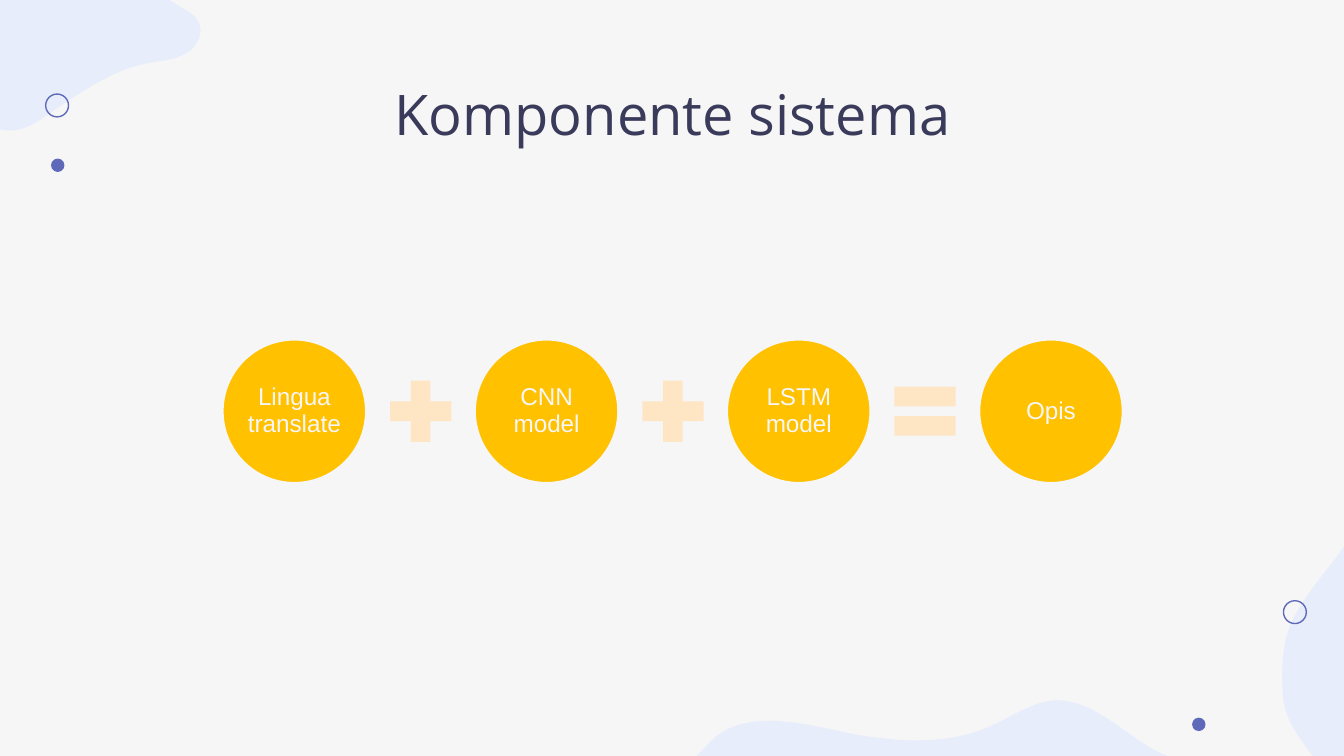
import pptx
import pptx.util
import pptx.dml.color
import pptx.enum.shapes
import pptx.enum.text

Inches = pptx.util.Inches
Pt = pptx.util.Pt
RGBColor = pptx.dml.color.RGBColor
MSO_SHAPE = pptx.enum.shapes.MSO_SHAPE
PP_ALIGN = pptx.enum.text.PP_ALIGN
MSO_ANCHOR = pptx.enum.text.MSO_ANCHOR

BACKGROUND = RGBColor(0xF6, 0xF6, 0xF6)
BLOB = RGBColor(0xE7, 0xED, 0xFB)
INDIGO = RGBColor(0x5E, 0x69, 0xB9)
NAVY = RGBColor(0x3A, 0x3A, 0x5A)
AMBER = RGBColor(0xFF, 0xC1, 0x00)
PEACH = RGBColor(0xFE, 0xE5, 0xC4)
CURVE_STEPS = 12


def add_preset(preset, left, top, size, fill=None, line=None, line_width=0.75):
    shape = slide.shapes.add_shape(
        preset, Inches(left), Inches(top), Inches(size), Inches(size))
    shape.shadow.inherit = False
    if fill is None:
        shape.fill.background()
    else:
        shape.fill.solid()
        shape.fill.fore_color.rgb = fill
    if line is None:
        shape.line.fill.background()
    else:
        shape.line.color.rgb = line
        shape.line.width = Pt(line_width)
    return shape


def format_text(text_frame, font_name, size, color):
    paragraph = text_frame.paragraphs[0]
    paragraph.alignment = PP_ALIGN.CENTER
    for run in paragraph.runs:
        run.font.name = font_name
        run.font.size = Pt(size)
        run.font.color.rgb = color
    return paragraph


presentation = pptx.Presentation()
presentation.slide_width = Inches(10)
presentation.slide_height = Inches(10) * 9 // 16
slide = presentation.slides.add_slide(presentation.slide_layouts[6])
slide.background.fill.solid()
slide.background.fill.fore_color.rgb = BACKGROUND

blobs = [
    ((9.77, 5.63),
     [(9.69, 5.52, 9.61, 5.42, 9.57, 5.3),
      (9.54, 5.21, 9.54, 5.12, 9.54, 5.03),
      (9.54, 4.93, 9.55, 4.83, 9.57, 4.74),
      (9.65, 4.46, 9.88, 4.26, 10.03, 4.02)],
     [(10.03, 5.63)]),
    ((5.16, 5.65),
     [(5.22, 5.59, 5.28, 5.52, 5.34, 5.47),
      (5.64, 5.25, 6.12, 5.43, 6.45, 5.48),
      (6.56, 5.49, 6.68, 5.51, 6.79, 5.51),
      (6.98, 5.51, 7.16, 5.49, 7.33, 5.42),
      (7.51, 5.35, 7.67, 5.22, 7.86, 5.21),
      (8.16, 5.21, 8.38, 5.49, 8.65, 5.61)],
     [(8.75, 5.65)]),
    ((-0.32, 0.83),
     [(-0.19, 0.89, -0.05, 0.98, 0.1, 0.97),
      (0.21, 0.96, 0.3, 0.89, 0.39, 0.83),
      (0.61, 0.68, 0.84, 0.52, 1.1, 0.47),
      (1.2, 0.45, 1.29, 0.45, 1.38, 0.4),
      (1.46, 0.36, 1.52, 0.25, 1.48, 0.17),
      (1.45, 0.1, 1.37, 0.07, 1.31, 0.03)],
     [(1.26, 0), (-0.32, 0)]),
]
for start, curves, corners in blobs:
    points = []
    x0, y0 = start
    for x1, y1, x2, y2, x3, y3 in curves:
        for step in range(1, CURVE_STEPS + 1):
            t = step / CURVE_STEPS
            u = 1 - t
            points.append((
                u**3 * x0 + 3 * u**2 * t * x1 + 3 * u * t**2 * x2 + t**3 * x3,
                u**3 * y0 + 3 * u**2 * t * y1 + 3 * u * t**2 * y2 + t**3 * y3))
        x0, y0 = x3, y3
    builder = slide.shapes.build_freeform(Inches(start[0]), Inches(start[1]))
    builder.add_line_segments(
        [(Inches(x), Inches(y)) for x, y in points + corners], close=True)
    blob = builder.convert_to_shape()
    blob.shadow.inherit = False
    blob.fill.solid()
    blob.fill.fore_color.rgb = BLOB
    blob.line.fill.background()

for left, top in [(0.34, 0.7), (9.55, 4.47)]:
    add_preset(MSO_SHAPE.OVAL, left, top, 0.17, line=INDIGO)
for left, top in [(0.38, 1.18), (8.87, 5.34)]:
    add_preset(MSO_SHAPE.OVAL, left, top, 0.1, fill=INDIGO)

title = slide.shapes.add_textbox(
    Inches(0.79), Inches(0.49), Inches(8.43), Inches(0.63))
title.text_frame.word_wrap = True
title.text_frame.margin_top = title.text_frame.margin_bottom = Inches(0.1)
title.text_frame.text = "Komponente sistema"
format_text(title.text_frame, "Open Sans", 30, NAVY)

components = ["Lingua\vtranslate", "CNN model", "LSTM model", "Opis"]
operators = [MSO_SHAPE.MATH_PLUS, MSO_SHAPE.MATH_PLUS, MSO_SHAPE.MATH_EQUAL]
first_left, last_left = 1.65, 7.28
pitch = (last_left - first_left) / (len(components) - 1)
for index, component in enumerate(components):
    left = first_left + index * pitch
    circle = add_preset(MSO_SHAPE.OVAL, left, 2.52, 1.08, AMBER, BACKGROUND, 2)
    text_frame = circle.text_frame
    text_frame.word_wrap = True
    text_frame.vertical_anchor = MSO_ANCHOR.MIDDLE
    text_frame.margin_left = text_frame.margin_right = Inches(0.02)
    text_frame.margin_top = text_frame.margin_bottom = Inches(0.02)
    text_frame.paragraphs[0].text = component
    format_text(text_frame, "Arial", 13, BACKGROUND).line_spacing = 0.9
    if index < len(operators):
        add_preset(operators[index], left + 1.17, 2.75, 0.62, PEACH)

presentation.save("out.pptx")
